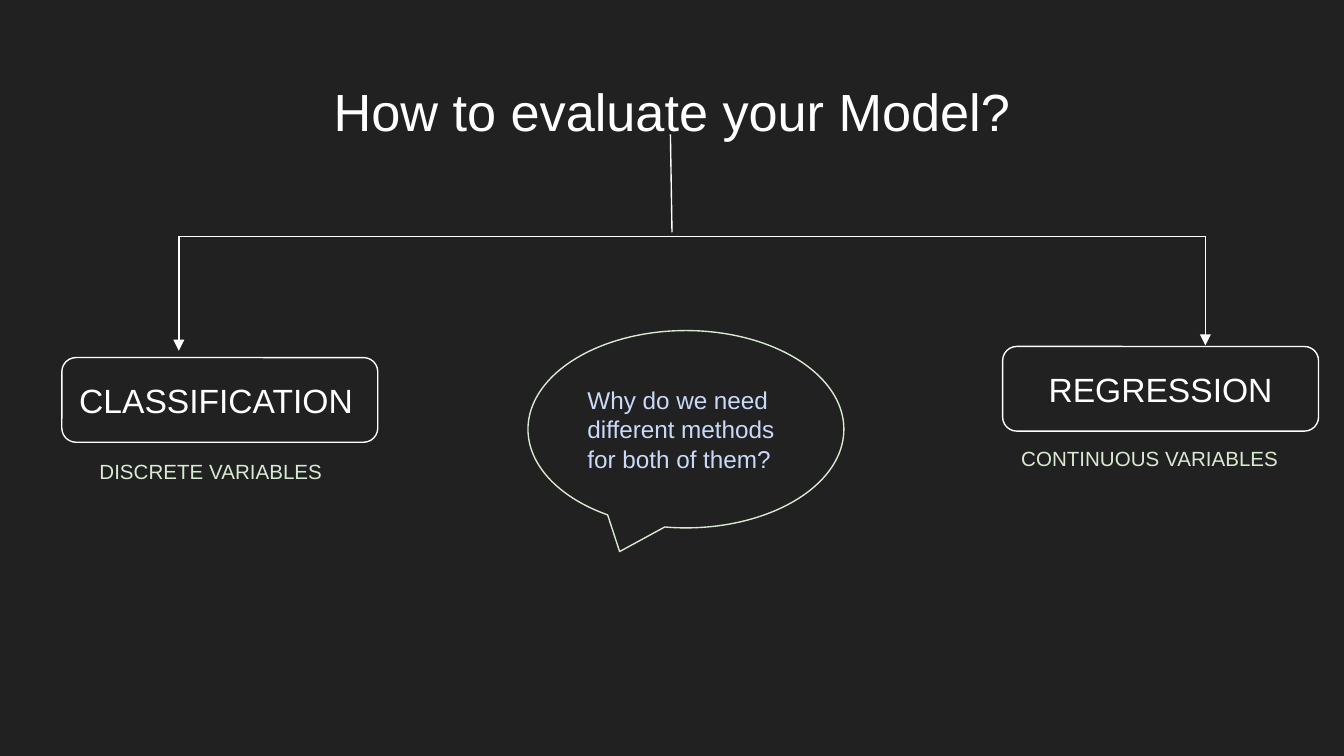
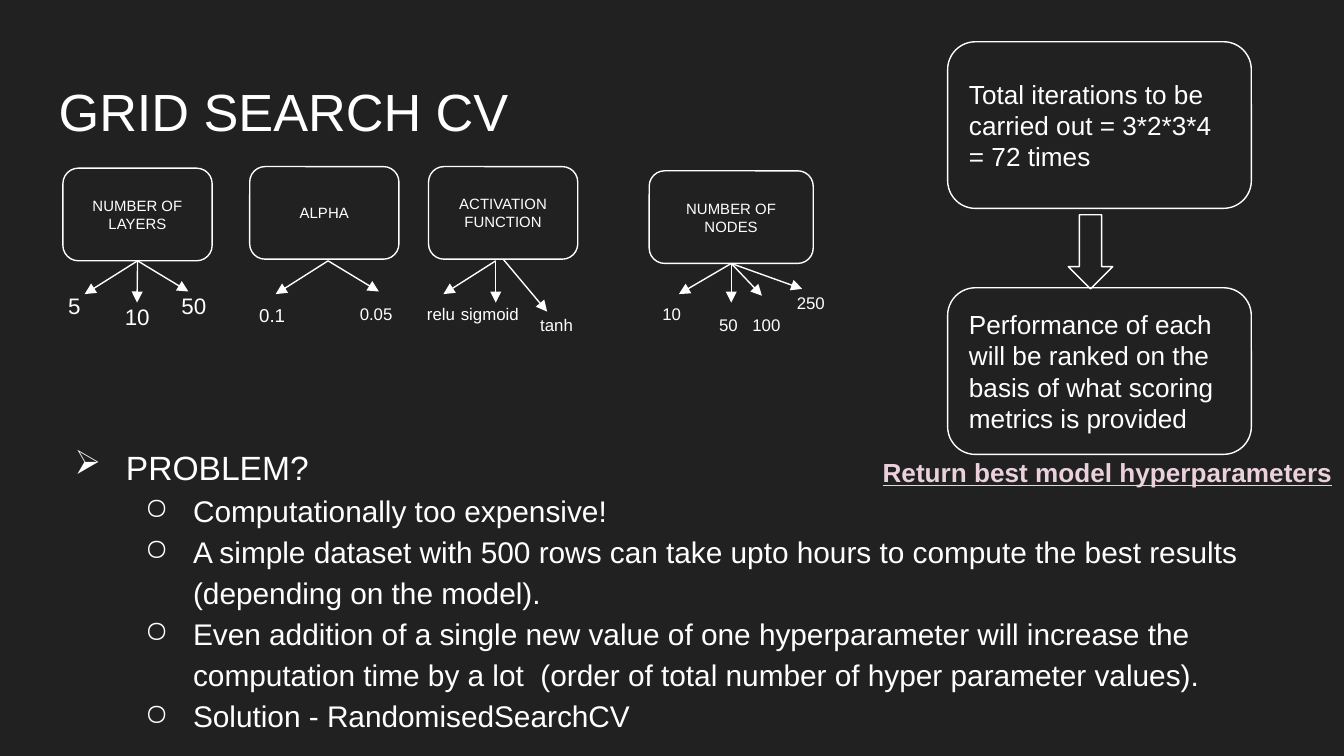
"""Build two dark slides on model evaluation and grid search."""
from dataclasses import dataclass

from lxml.etree import SubElement
from pptx import Presentation
from pptx.dml.color import RGBColor
from pptx.enum.shapes import MSO_CONNECTOR, MSO_SHAPE
from pptx.enum.text import MSO_ANCHOR, MSO_AUTO_SIZE, PP_ALIGN
from pptx.oxml.ns import qn
from pptx.util import Cm, Pt


@dataclass(frozen=True)
class Theme:
    font: str = "Arial"
    background: str = "212121"
    white: str = "FFFFFF"
    green: str = "D9EAD3"
    blue: str = "C9DAF8"
    pink: str = "EAD1DC"
    title: int = 28
    heading: int = 18
    body: int = 16
    step: int = 14
    question: int = 13
    caption: int = 11
    value: int = 9
    parameter: int = 8
    line: float = 0.75


THEME = Theme()
BOTTOM = 2
TITLE_AREA = (0.86, 1.24, 23.67, 1.6)

TREE_LINES = [
    ((3.38, 4.47), (22.78, 4.47), False),
    ((12.67, 2.54), (12.7, 4.39), False),
    ((3.38, 4.47), (3.38, 6.63), True),
    ((22.78, 4.47), (22.78, 6.53), True),
]
MODEL_TYPES = [
    ("CLASSIFICATION", (1.17, 6.76, 5.97, 1.6), PP_ALIGN.LEFT,
     "DISCRETE VARIABLES", (1.63, 8.43, 4.85, 0.81)),
    ("REGRESSION", (18.95, 6.55, 5.97, 1.6), PP_ALIGN.CENTER,
     "CONTINUOUS VARIABLES", (19.05, 8.18, 5.61, 0.81)),
]
QUESTION = "Why do we need different methods for both of them?"
QUESTION_AREA = (9.98, 6.25, 5.97, 3.73)

# Each branch: start (None joins the box), arrow tip, value, label area, size.
PARAMETERS = [
    ("NUMBER OF LAYERS", (1.19, 3.18, 2.82, 1.75), [
        (None, (1.6, 5.56), "5", (1.04, 5.28, 0.56, 0.79), 12),
        (None, (2.59, 5.72), "10", (2.11, 5.49, 1.02, 0.79), 12),
        (None, (3.56, 5.51), "50", (3.18, 5.28, 1.02, 0.79), 12),
    ]),
    ("ALPHA", (4.72, 3.15, 2.82, 1.75), [
        ((6.2, 4.93), (5.21, 5.56), "0.1", (4.65, 5.49, 1.17, 0.79), 10),
        ((6.2, 4.93), (7.16, 5.51), "0.05", (6.55, 5.49, 1.17, 0.79), THEME.value),
    ]),
    ("ACTIVATION FUNCTION", (8.1, 3.15, 2.82, 1.75), [
        ((9.37, 4.93), (8.38, 5.56), "relu", (7.82, 5.49, 1.17, 0.79), THEME.value),
        ((9.37, 4.93), (9.37, 5.72), "sigmoid", (8.46, 5.49, 1.88, 0.79), THEME.value),
        (None, (10.34, 5.89), "tanh", (9.96, 5.69, 1.88, 0.79), THEME.value),
    ]),
    ("NUMBER OF NODES", (12.27, 3.23, 3.1, 1.75), [
        (None, (12.83, 5.56), "10", (12.27, 5.49, 1.02, 0.64), THEME.value),
        (None, (13.82, 5.72), "50", (13.34, 5.69, 1.02, 0.64), THEME.value),
        (None, (14.4, 5.59), "100", (13.97, 5.69, 1.52, 0.64), THEME.value),
        (None, (15.16, 5.46), "250", (14.81, 5.28, 1.52, 0.64), THEME.value),
    ]),
]
STEPS = [
    ("Total iterations to be carried out = 3*2*3*4 = 72 times", (17.91, 0.79, 5.74, 3.15)),
    ("Performance of each will be ranked on the basis of what scoring metrics is provided",
     (17.91, 5.44, 5.74, 3.15)),
]
STEP_ARROW = (20.19, 4.06, 0.84, 1.4)
RESULT = "Return best model hyperparameters"
RESULT_AREA = (16.43, 8.38, 9.5, 1.19)
PROBLEM = "PROBLEM?"
PROBLEM_POINTS = [
    "Computationally too expensive!",
    "A simple dataset with 500 rows can take upto hours to compute the best results "
    "(depending on the model).",
    "Even addition of a single new value of one hyperparameter will increase the "
    "computation time by a lot  (order of total number of hyper parameter values).",
    "Solution - RandomisedSearchCV",
]
PROBLEM_AREA = (0.86, 8.08, 23.67, 6.1)


def color(value):
    """Return the colour for a hexadecimal value."""
    return RGBColor.from_string(value)


def write(para, text, *, size, ink=THEME.white, align=PP_ALIGN.LEFT, strong=False):
    """Add formatted text to a paragraph."""
    para.alignment = align
    span = para.add_run()
    span.text = text
    font = span.font
    font.name, font.size, font.color.rgb = THEME.font, Pt(size), color(ink)
    font.bold = font.underline = strong


def prepare(frame, anchor=MSO_ANCHOR.TOP):
    """Set wrapping, anchor and insets of a text frame."""
    frame.word_wrap = True
    frame.auto_size = MSO_AUTO_SIZE.NONE
    frame.vertical_anchor = anchor
    frame.margin_left = frame.margin_right = Cm(0.25)
    frame.margin_top = frame.margin_bottom = Cm(0.25)
    return frame


def add_text(page, text, area, **style):
    """Add a text box."""
    box = page.shapes.add_textbox(*map(Cm, area))
    write(prepare(box.text_frame).paragraphs[0], text, **style)


def add_outline(page, area, text="", kind=MSO_SHAPE.ROUNDED_RECTANGLE,
                outline=THEME.white, **style):
    """Add an unfilled outlined shape with optional text."""
    box = page.shapes.add_shape(kind, *map(Cm, area))
    box.shadow.inherit = False
    box.fill.background()
    box.line.color.rgb = color(outline)
    box.line.width = Pt(THEME.line)
    if text:
        write(prepare(box.text_frame, MSO_ANCHOR.MIDDLE).paragraphs[0], text, **style)
    return box


def add_line(page, start, end, arrow=True, source=None):
    """Add a straight line, joined to the bottom of its source if given."""
    line = page.shapes.add_connector(MSO_CONNECTOR.STRAIGHT, *map(Cm, start + end))
    line.line.color.rgb = color(THEME.white)
    line.line.width = Pt(THEME.line)
    properties = line.element.spPr
    if arrow:
        SubElement(properties.find(qn("a:ln")), qn("a:tailEnd"), type="triangle")
    SubElement(properties, qn("a:effectLst"))
    if source is not None:
        line.begin_connect(source, BOTTOM)


def add_bullet(para, text, symbol, level, left, hang, size):
    """Write a paragraph with a hanging bullet."""
    write(para, text, size=size)
    para.level = level
    para.line_spacing = 1.15
    properties = para._p.get_or_add_pPr()
    properties.set("marL", str(Cm(left)))
    properties.set("indent", str(-Cm(hang)))
    tint = SubElement(properties, qn("a:buClr"))
    SubElement(tint, qn("a:srgbClr"), val=THEME.white)
    SubElement(properties, qn("a:buChar"), char=symbol)


def add_page(deck, text, align=PP_ALIGN.LEFT):
    """Add a titled slide."""
    page = deck.slides.add_slide(deck.slide_layouts[5])
    title = page.shapes.title
    title.left, title.top, title.width, title.height = map(Cm, TITLE_AREA)
    write(prepare(title.text_frame).paragraphs[0], text, size=THEME.title, align=align)
    return page


def build_evaluation(deck):
    """Build the slide that splits models into two types."""
    page = add_page(deck, "How to evaluate your Model?", PP_ALIGN.CENTER)
    for start, end, arrow in TREE_LINES:
        add_line(page, start, end, arrow)
    for name, area, align, caption, caption_area in MODEL_TYPES:
        add_outline(page, area, name, size=THEME.heading, align=align)
        add_text(page, caption, caption_area, size=THEME.caption, ink=THEME.green)
    callout = add_outline(page, QUESTION_AREA, QUESTION, MSO_SHAPE.OVAL_CALLOUT,
                          THEME.green, size=THEME.question, ink=THEME.blue)
    callout.adjustments[0], callout.adjustments[1] = -0.21, 0.62


def build_grid_search(deck):
    """Build the slide on grid search and its cost."""
    page = add_page(deck, "GRID SEARCH CV")
    frame = prepare(page.shapes.add_textbox(*map(Cm, PROBLEM_AREA)).text_frame)
    add_bullet(frame.paragraphs[0], PROBLEM, "➢", 0, 1.27, 0.97, THEME.heading)
    for point in PROBLEM_POINTS:
        add_bullet(frame.add_paragraph(), point, "○", 1, 2.54, 0.91, THEME.body)
    for name, area, branches in PARAMETERS:
        box = add_outline(page, area, name, size=THEME.parameter, align=PP_ALIGN.CENTER)
        for start, tip, value, value_area, size in branches:
            source = box if start is None else None
            add_line(page, start or tip, tip, source=source)
            add_text(page, value, value_area, size=size)
    for text, area in STEPS:
        add_outline(page, area, text, size=THEME.step)
    add_outline(page, STEP_ARROW, kind=MSO_SHAPE.DOWN_ARROW)
    add_text(page, RESULT, RESULT_AREA, size=THEME.step, ink=THEME.pink, strong=True)


def main():
    """Build and save the deck."""
    deck = Presentation()
    deck.slide_width, deck.slide_height = Cm(25.4), Cm(14.29)
    fill = deck.slide_master.background.fill
    fill.solid()
    fill.fore_color.rgb = color(THEME.background)
    build_evaluation(deck)
    build_grid_search(deck)
    deck.save("out.pptx")


if __name__ == "__main__":
    main()
